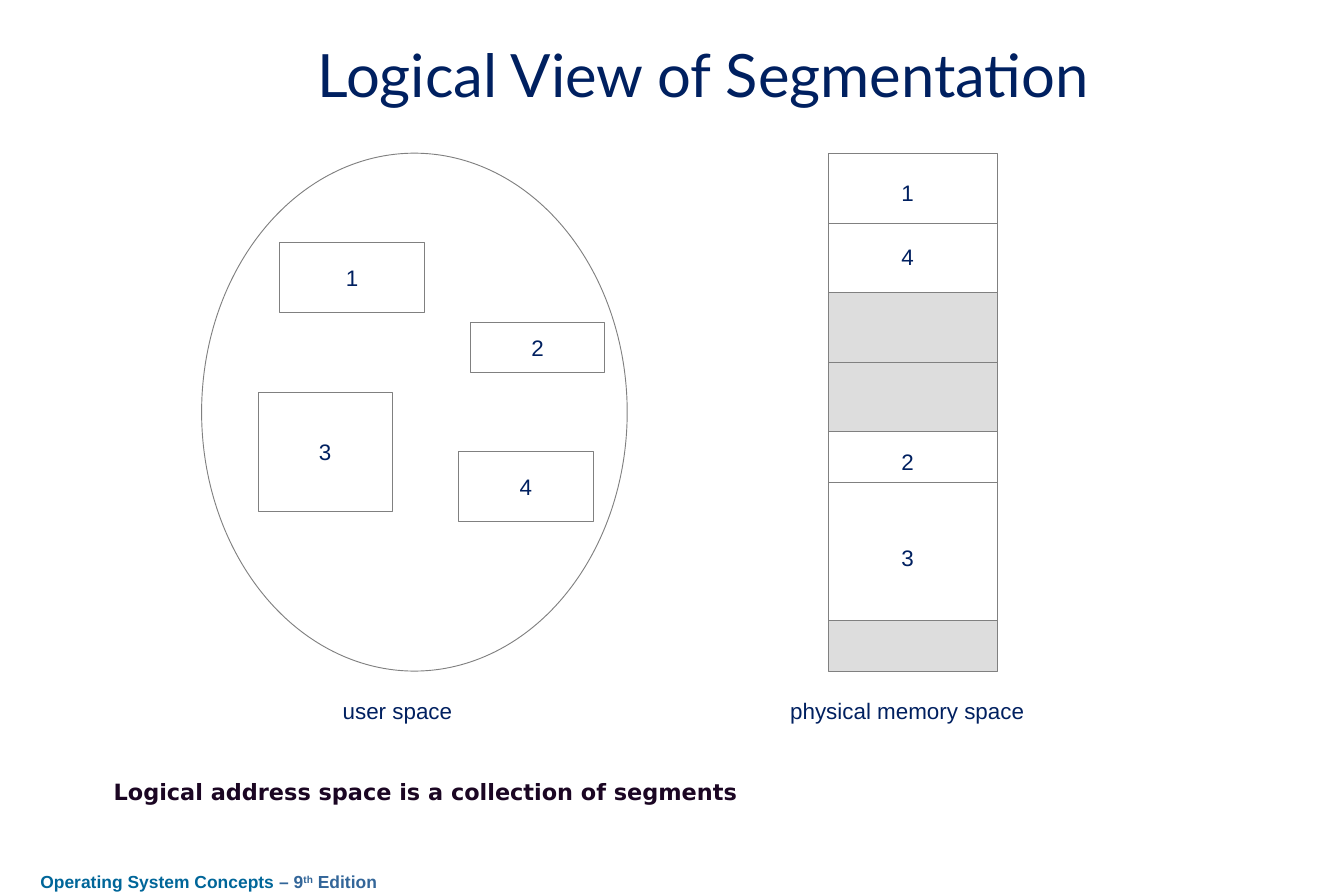
from typing import NamedTuple

from lxml.etree import SubElement
from pptx import Presentation
from pptx.dml.color import RGBColor
from pptx.enum.shapes import MSO_CONNECTOR as CONNECTOR, MSO_SHAPE as SHAPE
from pptx.enum.text import MSO_ANCHOR as ANCHOR, PP_ALIGN as ALIGN
from pptx.oxml.ns import qn
from pptx.shapes.autoshape import Shape
from pptx.shapes.connector import Connector
from pptx.shapes.shapetree import SlideShapes
from pptx.util import Inches, Pt

NAVY = RGBColor(0x00, 0x20, 0x60)
GRAY = RGBColor(0x80, 0x80, 0x80)
FREE_GRAY = RGBColor(0xDD, 0xDD, 0xDD)
WHITE = RGBColor(0xFF, 0xFF, 0xFF)
PLUM = RGBColor(0x1B, 0x06, 0x23)
TEAL = RGBColor(0x00, 0x66, 0x99)
STEEL = RGBColor(0x33, 0x66, 0x99)

MEMORY_LEFT, MEMORY_WIDTH = 9.25, 1.88


class Box(NamedTuple):
    left: float
    top: float
    width: float
    height: float


class Segment(NamedTuple):
    number: str
    box: Box


class MemoryBlock(NamedTuple):
    top: float
    height: float
    fill: RGBColor
    halved: bool = False


class Caption(NamedTuple):
    text: str
    box: Box
    size: int = 18
    font: str = "Arial"
    color: RGBColor = NAVY
    bold: bool = False
    align: ALIGN = ALIGN.CENTER
    wrap: bool = False


SEGMENTS = [
    Segment("1", Box(3.12, 2.71, 1.62, 0.78)),
    Segment("3", Box(2.88, 4.38, 1.5, 1.33)),
    Segment("2", Box(5.25, 3.6, 1.5, 0.56)),
    Segment("4", Box(5.12, 5.04, 1.5, 0.78)),
]
MEMORY_BLOCKS = [
    MemoryBlock(1.71, 1.56, WHITE, halved=True),
    MemoryBlock(3.26, 1.56, FREE_GRAY, halved=True),
    MemoryBlock(4.82, 2.11, WHITE),
    MemoryBlock(6.93, 0.56, FREE_GRAY),
]
SEGMENT_2_END = 5.38
MEMORY_LABEL_TOPS = {"1": 1.95, "4": 2.66, "2": 4.95, "3": 6.02}
CAPTIONS = [
    Caption("Logical View of Segmentation", Box(1.45, 0.4, 12.8, 0.84),
            size=48, font="Lato", wrap=True),
    Caption("user space", Box(3.64, 7.71, 1.59, 0.45)),
    Caption("physical memory space", Box(8.66, 7.71, 2.93, 0.45)),
    Caption("Logical address space is a collection of segments",
            Box(1.17, 8.63, 7.33, 0.4), font="DejaVu Sans", color=PLUM,
            bold=True, align=ALIGN.LEFT, wrap=True),
]


def place(box: Box) -> list[Inches]:
    return [Inches(length) for length in box]


def add_outlined(shapes: SlideShapes, kind: SHAPE, box: Box,
                 fill: RGBColor = WHITE) -> Shape:
    shape = shapes.add_shape(kind, *place(box))
    shape.shadow.inherit = False
    shape.fill.solid()
    shape.fill.fore_color.rgb = fill
    shape.line.color.rgb = GRAY
    shape.line.width = Pt(0.75)
    return shape


def write(shape: Shape, caption: Caption) -> None:
    frame = shape.text_frame
    frame.word_wrap = caption.wrap
    frame.vertical_anchor = ANCHOR.MIDDLE
    paragraph = frame.paragraphs[0]
    paragraph.text = caption.text
    paragraph.alignment = caption.align
    font = paragraph.font
    font.name, font.size, font.bold = caption.font, Pt(caption.size), caption.bold
    font.color.rgb = caption.color


def add_caption(shapes: SlideShapes, caption: Caption) -> None:
    write(shapes.add_textbox(*place(caption.box)), caption)


def add_divider(shapes: SlideShapes, y: float) -> Connector:
    divider = shapes.add_connector(
        CONNECTOR.STRAIGHT, Inches(MEMORY_LEFT), Inches(y),
        Inches(MEMORY_LEFT + MEMORY_WIDTH), Inches(y))
    divider.line.color.rgb = GRAY
    divider.line.width = Pt(0.75)
    SubElement(divider._element.spPr, qn("a:effectLst"))
    return divider


def add_user_space(shapes: SlideShapes) -> None:
    add_outlined(shapes, SHAPE.OVAL, Box(2.25, 1.71, 4.75, 5.78))
    for number, box in SEGMENTS:
        write(add_outlined(shapes, SHAPE.RECTANGLE, box), Caption(number, box))


def add_physical_memory(shapes: SlideShapes) -> None:
    for top, height, fill, halved in MEMORY_BLOCKS:
        block = add_outlined(shapes, SHAPE.RECTANGLE,
                             Box(MEMORY_LEFT, top, MEMORY_WIDTH, height), fill)
        if halved:
            divider = add_divider(shapes, top + height / 2)
            divider.begin_connect(block, 1)
            divider.end_connect(block, 3)
    add_divider(shapes, SEGMENT_2_END)
    for number, top in MEMORY_LABEL_TOPS.items():
        add_caption(shapes, Caption(number, Box(9.96, top, 0.34, 0.4)))


def add_footer(shapes: SlideShapes) -> None:
    footer = shapes.add_textbox(*place(Box(0.31, 9.65, 4.08, 0.38)))
    frame = footer.text_frame
    frame.word_wrap = False
    frame.margin_left = frame.margin_right = Inches(0.14)
    frame.margin_top = frame.margin_bottom = Inches(0.07)
    paragraph = frame.paragraphs[0]
    font = paragraph.font
    font.name, font.size, font.bold = "Arial", Pt(14), True
    for text, color in [("Operating System Concepts", TEAL), (" – 9", STEEL),
                        ("th", STEEL), (" Edition", STEEL)]:
        run = paragraph.add_run()
        run.text = text
        run.font.color.rgb = color
        if text == "th":
            run.font._element.set("baseline", "30000")


def main() -> None:
    presentation = Presentation()
    presentation.slide_width, presentation.slide_height = Inches(15), Inches(10)
    shapes = presentation.slides.add_slide(presentation.slide_layouts[6]).shapes
    add_footer(shapes)
    add_user_space(shapes)
    add_physical_memory(shapes)
    for caption in CAPTIONS:
        add_caption(shapes, caption)
    presentation.save("out.pptx")


if __name__ == "__main__":
    main()
